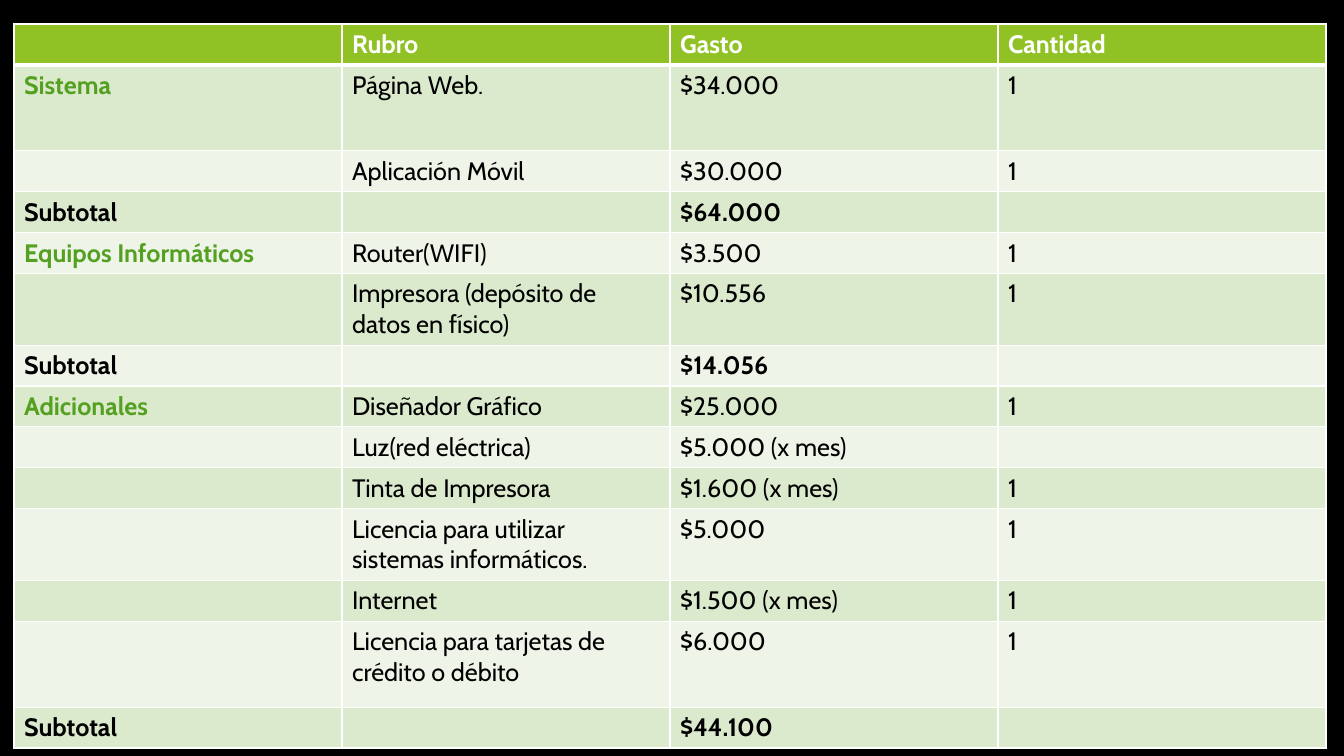
import pptx
import pptx.util
import pptx.dml.color
import pptx.oxml.ns
import lxml.etree

PX = 914400 / 100.8
HEADER = ["", "Rubro", "Gasto", "Cantidad"]
EXPENSES = [
    ["Sistema", "Página Web.", "$34.000", "1"],
    ["", "Aplicación Móvil", "$30.000", "1"],
    ["Subtotal", "", "$64.000", ""],
    ["Equipos Informáticos", "Router(WIFI)", "$3.500", "1"],
    ["", "Impresora (depósito de datos en físico)", "$10.556", "1"],
    ["Subtotal", "", "$14.056", ""],
    ["Adicionales", "Diseñador Gráfico", "$25.000", "1"],
    ["", "Luz(red eléctrica)", "$5.000 (x mes)", ""],
    ["", "Tinta de Impresora", "$1.600 (x mes)", "1"],
    ["", "Licencia para utilizar sistemas informáticos.", "$5.000", "1"],
    ["", "Internet", "$1.500 (x mes)", "1"],
    ["", "Licencia para tarjetas de crédito o débito", "$6.000", "1"],
    ["Subtotal", "", "$44.100", ""],
]
COLUMN_WIDTH = 328
ROW_HEIGHTS = [40, 86, 40, 40, 40, 71, 40, 40, 40, 40, 71, 40, 86, 40]


def px(n):
    return pptx.util.Emu(round(n * PX))


def color(value):
    return pptx.dml.color.RGBColor.from_string(value)


class Deck:
    font = "Cabin"
    size = 18
    white = "FFFFFF"
    black = "000000"
    header = "90C226"
    category = "54A021"
    bands = ("DBE9CD", "EEF4E8")

    def __init__(self, width, height):
        self.prs = pptx.Presentation()
        self.prs.slide_width = px(width)
        self.prs.slide_height = px(height)

    def slide(self, background):
        self.s = self.prs.slides.add_slide(self.prs.slide_layouts[6])
        fill = self.s.background.fill
        fill.solid()
        fill.fore_color.rgb = color(background)

    def borders(self, cell, top, bottom):
        tcPr = cell._tc.get_or_add_tcPr()
        qn = pptx.oxml.ns.qn
        for side, width in (("L", 1), ("R", 1), ("T", top), ("B", bottom)):
            ln = lxml.etree.SubElement(tcPr, qn(f"a:ln{side}"), w=str(pptx.util.Pt(width)))
            solid = lxml.etree.SubElement(ln, qn("a:solidFill"))
            lxml.etree.SubElement(solid, qn("a:srgbClr"), val=self.white)

    def cell(self, cell, text, fill, ink, bold):
        cell.fill.solid()
        cell.fill.fore_color.rgb = color(fill)
        p = cell.text_frame.paragraphs[0]
        p.font.size = pptx.util.Pt(self.size)
        if text:
            r = p.add_run()
            r.text = text
            r.font.name = self.font
            r.font.size = pptx.util.Pt(self.size)
            r.font.bold = bold
            r.font.color.rgb = color(ink)

    def table(self, left, top, column_width, heights, rows):
        columns = len(rows[0])
        frame = self.s.shapes.add_table(
            len(rows), columns, px(left), px(top),
            px(column_width * columns), px(sum(heights)))
        table = frame.table
        for column in table.columns:
            column.width = px(column_width)
        for i, (row, height) in enumerate(zip(rows, heights)):
            table.rows[i].height = px(height)
            subtotal = row[0] == "Subtotal"
            for j, text in enumerate(row):
                cell = table.cell(i, j)
                self.borders(cell, 3 if i == 1 else 1, 3 if i == 0 else 1)
                if i == 0:
                    self.cell(cell, text, self.header, self.white, True)
                else:
                    is_category = j == 0 and not subtotal
                    ink = self.category if is_category else self.black
                    self.cell(cell, text, self.bands[(i - 1) % 2], ink,
                              subtotal or is_category)

    def save(self):
        self.prs.save("out.pptx")


def main():
    deck = Deck(1344, 756)
    deck.slide(deck.black)
    deck.table(14, 24, COLUMN_WIDTH, ROW_HEIGHTS, [HEADER] + EXPENSES)
    deck.save()


if __name__ == "__main__":
    main()
